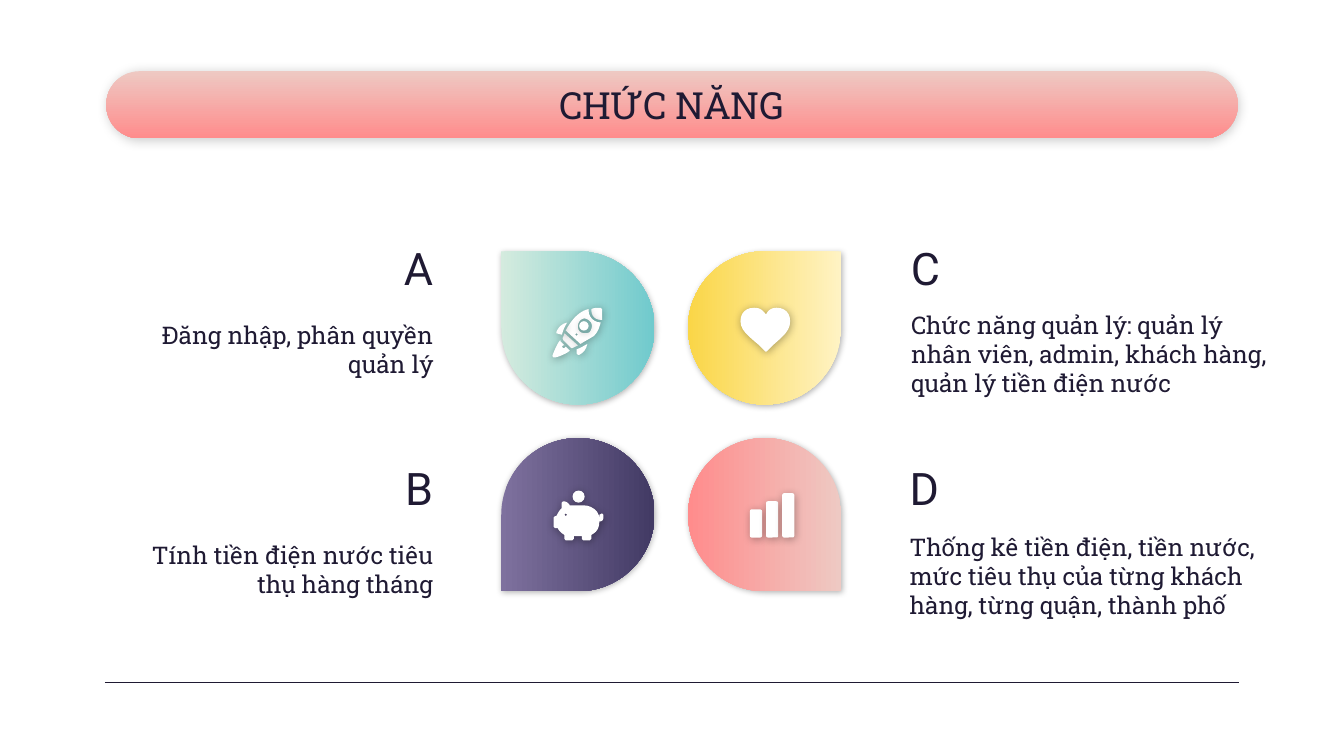
from lxml import etree
from pptx import Presentation
from pptx.dml.color import RGBColor
from pptx.enum.shapes import MSO_CONNECTOR, MSO_SHAPE
from pptx.enum.text import MSO_ANCHOR, PP_ALIGN
from pptx.oxml.ns import qn
from pptx.util import Inches, Pt

LEFT, CENTER, RIGHT = PP_ALIGN.LEFT, PP_ALIGN.CENTER, PP_ALIGN.RIGHT
TOP, MIDDLE = MSO_ANCHOR.TOP, MSO_ANCHOR.MIDDLE
ROUNDED, TEARDROP, OVAL = MSO_SHAPE.ROUNDED_RECTANGLE, MSO_SHAPE.TEAR, MSO_SHAPE.OVAL
STRAIGHT = MSO_CONNECTOR.STRAIGHT
INK, WHITE = "1F1A33", "FFFFFF"
BANNER_SHADOW, DROP_SHADOW, ICON_SHADOW = (20, 5.6, 66), (30, 3.4, 66), (31, 4.5, 69)

DROPS = [
    (3.73, 1.87, 270, False, "D4EBDE", "70CACD"),
    (5.12, 1.87, 90, True, "FFF3C4", "FAD647"),
    (5.12, 3.26, 90, False, "EEC9C3", "FF8C8C"),
    (3.73, 3.26, 270, True, "7E719E", "423A64"),
]
ITEMS = [
    ("A", 0.78, 1.79, 2.28, 2.54, RIGHT, "Đăng nhập, phân quyền quản lý"),
    ("B", 0.78, 3.43, 3.92, 2.54, RIGHT, "Tính tiền điện nước tiêu thụ hàng tháng"),
    ("C", 6.68, 1.79, 2.21, 2.91, LEFT,
     "Chức năng quản lý: quản lý nhân viên, admin, khách hàng, quản lý tiền điện nước"),
    ("D", 6.67, 3.43, 3.86, 2.99, LEFT,
     "Thống kê tiền điện, tiền nước, mức tiêu thụ của từng khách hàng, từng quận, thành phố"),
]
HEART = [[
    (5.61, 2.29), (5.55, 2.29, 5.51, 2.33, 5.51, 2.39), (5.51, 2.46, 5.57, 2.5, 5.65, 2.57),
    (5.69, 2.61), (5.7, 2.62, 5.7, 2.62, 5.71, 2.61), (5.75, 2.57),
    (5.83, 2.5, 5.88, 2.46, 5.88, 2.39), (5.88, 2.33, 5.84, 2.29, 5.78, 2.29),
    (5.75, 2.29, 5.72, 2.3, 5.7, 2.34), (5.67, 2.3, 5.65, 2.29, 5.61, 2.29),
]]
PIG = [
    [(4.19, 3.73), (4.18, 3.74), (4.18, 3.78), (4.16, 3.8, 4.15, 3.82, 4.14, 3.84),
     (4.13, 3.84), (4.12, 3.85), (4.12, 3.92), (4.13, 3.93), (4.15, 3.93),
     (4.16, 3.95, 4.18, 3.97, 4.2, 3.98), (4.2, 4.01), (4.21, 4.02), (4.26, 4.02),
     (4.27, 4.01), (4.27, 3.99), (4.33, 3.99), (4.33, 4.01), (4.34, 4.02), (4.39, 4.02),
     (4.4, 4.01), (4.4, 3.98), (4.44, 3.96, 4.46, 3.93, 4.46, 3.88),
     (4.48, 3.88, 4.49, 3.87, 4.49, 3.85), (4.49, 3.83), (4.48, 3.82), (4.46, 3.83),
     (4.46, 3.86), (4.46, 3.8, 4.4, 3.76, 4.34, 3.76), (4.24, 3.76),
     (4.23, 3.74, 4.21, 3.73, 4.19, 3.73)],
    [(4.21, 3.82), (4.22, 3.83), (4.21, 3.84), (4.2, 3.83)],
]
ROCKET = [
    [[(4.2, 2.48), (4.19, 2.51), (4.18, 2.52, 4.19, 2.52, 4.19, 2.53), (4.25, 2.59),
      (4.26, 2.59), (4.3, 2.57)]],
    [[(4.46, 2.29), (4.44, 2.29, 4.42, 2.29, 4.4, 2.3), (4.4, 2.31),
      (4.4, 2.35, 4.43, 2.38, 4.47, 2.38), (4.48, 2.38), (4.48, 2.3), (4.47, 2.29)]],
    [[(4.38, 2.3), (4.34, 2.31, 4.31, 2.33, 4.28, 2.36), (4.26, 2.38, 4.23, 2.42, 4.21, 2.46),
      (4.32, 2.56), (4.35, 2.54, 4.39, 2.52, 4.42, 2.5), (4.45, 2.47, 4.46, 2.44, 4.47, 2.4),
      (4.42, 2.4, 4.38, 2.36, 4.38, 2.31)],
     [(4.35, 2.37), (4.36, 2.37, 4.38, 2.38, 4.39, 2.39), (4.41, 2.41, 4.41, 2.44, 4.39, 2.47),
      (4.38, 2.48, 4.36, 2.48, 4.35, 2.48), (4.32, 2.48, 4.3, 2.46, 4.3, 2.43),
      (4.3, 2.39, 4.33, 2.37, 4.35, 2.37)],
     [(4.29, 2.48), (4.3, 2.49), (4.29, 2.5), (4.28, 2.49)]],
    [[(4.37, 2.56), (4.35, 2.57, 4.32, 2.59, 4.29, 2.6), (4.29, 2.63), (4.3, 2.64),
      (4.31, 2.64), (4.31, 2.64, 4.36, 2.62, 4.37, 2.56)]],
    [[(4.22, 2.4), (4.16, 2.41, 4.14, 2.47, 4.14, 2.47), (4.14, 2.48), (4.18, 2.49),
      (4.19, 2.46, 4.2, 2.43, 4.22, 2.4)]],
    [[(4.17, 2.53), (4.15, 2.55, 4.12, 2.62, 4.11, 2.65), (4.12, 2.66), (4.13, 2.66),
      (4.15, 2.66, 4.22, 2.63, 4.24, 2.61), (4.23, 2.6), (4.21, 2.58), (4.2, 2.59),
      (4.19, 2.59), (4.18, 2.58, 4.18, 2.58, 4.19, 2.57), (4.2, 2.57), (4.17, 2.54)]],
]


def rgb(value):
    """Turn a hex string into a colour."""
    return RGBColor.from_string(value)


def add_shadow(s, alpha, blur, angle):
    """Give a shape a soft black outer shadow."""
    s.shadow.inherit = False
    effects = s._element.spPr.find(qn("a:effectLst"))
    outer = etree.SubElement(effects, qn("a:outerShdw"), blurRad=str(Pt(blur)),
                             dist=str(Pt(0.8)), dir=str(angle * 60000), algn="bl", rotWithShape="0")
    color = etree.SubElement(outer, qn("a:srgbClr"), val="000000")
    etree.SubElement(color, qn("a:alpha"), val=str(alpha * 1000))


def add_preset(shapes, kind, box, colors, shadow, adjust=None):
    """Add a preset shape with a solid fill or a downward gradient."""
    s = shapes.add_shape(kind, *map(Inches, box))
    if adjust is not None:
        s.adjustments[0] = adjust
    if len(colors) == 1:
        s.fill.solid()
        s.fill.fore_color.rgb = rgb(colors[0])
    else:
        s.fill.gradient()
        s.fill.gradient_angle = 270
        for stop, color, place in zip(s.fill.gradient_stops, colors, (0, 1)):
            stop.color.rgb = rgb(color)
            stop.position = place
    s.line.fill.background()
    add_shadow(s, *shadow)
    return s


def add_drop(shapes, left, top, turn, flipped, *colors):
    """Add a turned teardrop of the central clover."""
    s = add_preset(shapes, TEARDROP, (left, top, 1.14, 1.14), colors, DROP_SHADOW, 1)
    s.rotation = turn
    if flipped:
        s._element.spPr.find(qn("a:xfrm")).set("flipH", "1")


def flatten(contour, steps=6):
    """Turn points and cubic curves into a list of points in EMU."""
    points = [contour[0]]
    for part in contour[1:]:
        if len(part) == 2:
            points.append(part)
            continue
        nodes = [points[-1], part[:2], part[2:4], part[4:]]
        for i in range(1, steps + 1):
            t = i / steps
            weights = ((1 - t) ** 3, 3 * t * (1 - t) ** 2, 3 * t * t * (1 - t), t ** 3)
            points.append(tuple(sum(w * n[k] for w, n in zip(weights, nodes)) for k in (0, 1)))
    return [(Inches(x), Inches(y)) for x, y in points]


def add_outline(shapes, contours):
    """Add a white icon part, with later contours as holes."""
    outlines = [flatten(contour) for contour in contours]
    builder = shapes.build_freeform(*outlines[0][0], scale=1.0)
    builder.add_line_segments(outlines[0][1:], close=True)
    for outline in outlines[1:]:
        builder.move_to(*outline[0])
        builder.add_line_segments(outline[1:], close=True)
    s = builder.convert_to_shape()
    s.fill.solid()
    s.fill.fore_color.rgb = rgb(WHITE)
    s.line.fill.background()
    add_shadow(s, *ICON_SHADOW)


def add_text(shapes, text, box, size, font, align, inset=0.1, anchor=TOP, after=0):
    """Add a wrapped one-paragraph text box."""
    tf = shapes.add_textbox(*map(Inches, box)).text_frame
    tf.word_wrap = True
    tf.vertical_anchor = anchor
    tf.margin_left = tf.margin_right = Inches(0.1)
    tf.margin_top = tf.margin_bottom = Inches(inset)
    tf.text = text
    p = tf.paragraphs[0]
    p.alignment = align
    p.space_after = Pt(after)
    r = p.runs[0]
    r.font.size = Pt(size)
    r.font.name = font
    r.font.color.rgb = rgb(INK)


def add_rule(shapes):
    """Add the line at the foot of the slide."""
    s = shapes.add_connector(STRAIGHT, Inches(0.78), Inches(5.08), Inches(9.22), Inches(5.08))
    s.line.color.rgb = rgb(INK)
    s.line.width = Pt(0.75)
    etree.SubElement(s._element.spPr, qn("a:effectLst"))


def add_icons(shapes):
    """Add the pig, heart, rocket and bar icons."""
    pig = shapes.add_group_shape().shapes
    add_preset(pig, OVAL, (4.26, 3.65, 0.09, 0.09), [WHITE], ICON_SHADOW)
    add_outline(pig, PIG)
    add_outline(shapes, HEART)
    rocket = shapes.add_group_shape().shapes
    for part in ROCKET:
        add_outline(rocket, part)
    add_preset(rocket, OVAL, (4.31, 2.39, 0.07, 0.07), [WHITE], ICON_SHADOW)
    bars = shapes.add_group_shape().shapes
    for i, height in enumerate((0.21, 0.27, 0.33)):
        box = (5.58 + 0.12 * i, 4 - height, 0.09, height)
        add_preset(bars, ROUNDED, box, [WHITE], ICON_SHADOW, 0.15)


def main():
    """Build the slide and save it."""
    prs = Presentation()
    prs.slide_width = Inches(10)
    prs.slide_height = Inches(10 * 9 / 16)
    shapes = prs.slides.add_slide(prs.slide_layouts[6]).shapes
    add_preset(shapes, ROUNDED, (0.79, 0.53, 8.42, 0.5), ("EEC9C3", "FF8C8C"), BANNER_SHADOW, 0.5)
    add_rule(shapes)
    add_text(shapes, "CHỨC NĂNG", (2.47, 0.53, 5.06, 0.5), 20, "Roboto Slab", CENTER, anchor=MIDDLE)
    for drop in DROPS:
        add_drop(shapes, *drop)
    for letter, left, top, body_top, width, align, body in ITEMS:
        add_text(shapes, body, (left, body_top, width, 0.77), 13, "Roboto Slab", align, after=16)
        add_text(shapes, letter, (left, top, 2.54, 0.49), 24, "Roboto", align, inset=0, after=16)
    add_icons(shapes)
    prs.save("out.pptx")


if __name__ == "__main__":
    main()
